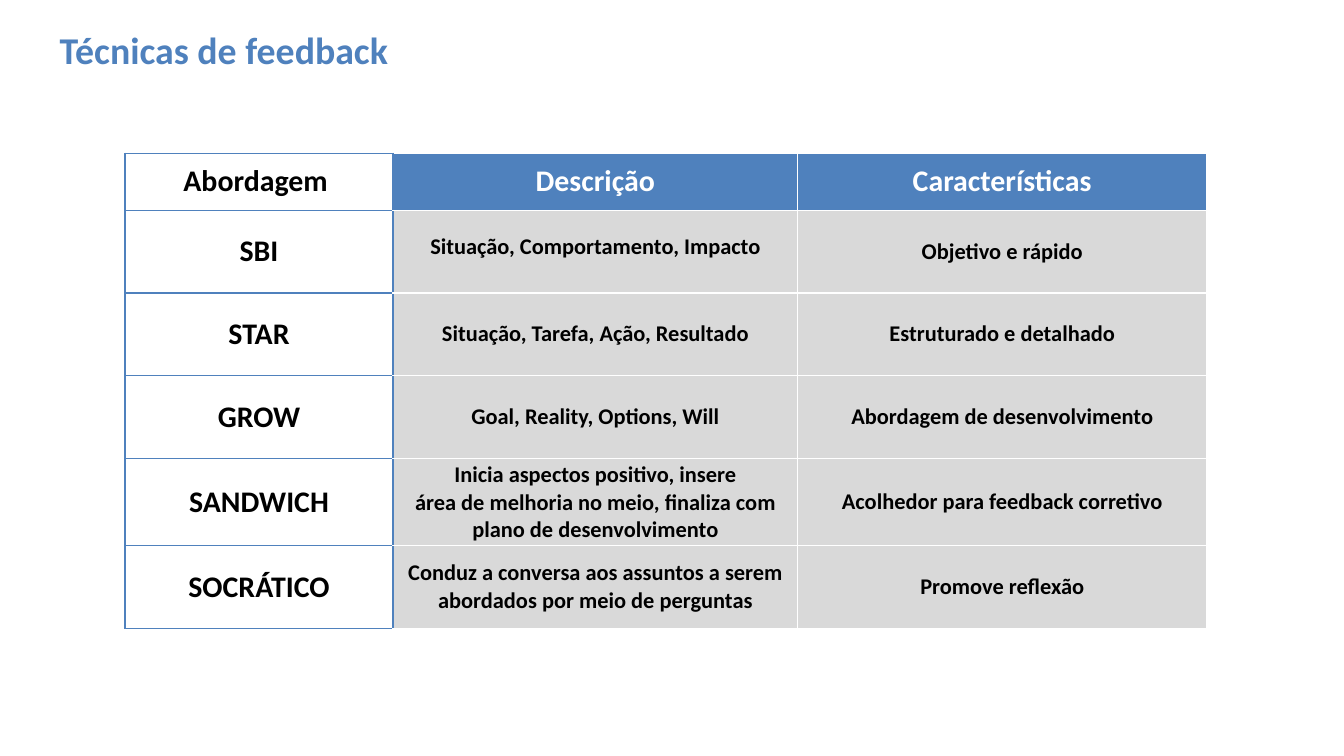
from typing import NamedTuple

from lxml.etree import SubElement
from pptx import Presentation
from pptx.dml.color import RGBColor
from pptx.enum.text import MSO_ANCHOR, PP_ALIGN
from pptx.oxml.ns import qn
from pptx.util import Emu, Pt

PX = 9144  # EMU in one px, 100 px to the inch
FONT = "Calibri"
COLORS = {"blue": "4F81BD", "white": "FFFFFF", "gray": "D9D9D9", "black": "000000"}
BORDER_WIDTH = Pt(1.47)
COLUMN_WIDTHS = [399, 602, 609]
ROW_HEIGHTS = [85, 123, 123, 123, 95, 123]


class Technique(NamedTuple):
    approach: str
    description: str
    traits: str


class CellStyle(NamedTuple):
    fill: str
    color: str
    size: float
    borders: dict[str, str]


HEADER = Technique("Abordagem", "Descrição", "Características")
TECHNIQUES = [
    Technique("SBI", "Situação, Comportamento, Impacto", "Objetivo e rápido"),
    Technique("STAR", "Situação, Tarefa, Ação, Resultado", "Estruturado e detalhado"),
    Technique("GROW", "Goal, Reality, Options, Will", "Abordagem de desenvolvimento"),
    Technique("SANDWICH",
              "Inicia aspectos positivo, insere\n"
              "área de melhoria no meio, finaliza com plano de desenvolvimento",
              "Acolhedor para feedback corretivo"),
    Technique("SOCRÁTICO",
              "Conduz a conversa aos assuntos a serem abordados por meio de perguntas",
              "Promove reflexão"),
]


def px(length: int) -> Emu:
    return Emu(length * PX)


def rgb(name: str) -> RGBColor:
    return RGBColor.from_string(COLORS[name])


def format_text(text_frame, size: float, color: str, alignment: PP_ALIGN) -> None:
    for paragraph in text_frame.paragraphs:
        paragraph.alignment = alignment
        for run in paragraph.runs:
            run.font.name = FONT
            run.font.size = Pt(size)
            run.font.bold = True
            run.font.color.rgb = rgb(color)


def set_borders(cell, borders: dict[str, str]) -> None:
    properties = cell._tc.get_or_add_tcPr()
    for position, side in enumerate("LRTB"):
        line = SubElement(properties, qn(f"a:ln{side}"), w=str(BORDER_WIDTH))
        fill = SubElement(line, qn("a:solidFill"))
        SubElement(fill, qn("a:srgbClr"), val=COLORS[borders[side]])
        properties.insert(position, line)  # borders come before the fill


def cell_style(row: int, column: int) -> CellStyle:
    if column == 0:
        return CellStyle("white", "black", 32, dict.fromkeys("LRTB", "blue"))
    borders = dict.fromkeys("LRTB", "white")
    if column == 1:
        borders["L"] = "blue"
    if row == 0:
        return CellStyle("blue", "white", 32, borders)
    return CellStyle("gray", "black", 24, borders)


def draw_cell(cell, text: str, style: CellStyle) -> None:
    cell.text_frame.text = text
    format_text(cell.text_frame, style.size, style.color, PP_ALIGN.CENTER)
    cell.vertical_anchor = MSO_ANCHOR.MIDDLE
    cell.margin_left = cell.margin_right = px(20)
    cell.margin_top = cell.margin_bottom = px(5)
    cell.fill.solid()
    cell.fill.fore_color.rgb = rgb(style.fill)
    set_borders(cell, style.borders)


def draw_title(slide, text: str) -> None:
    shape = slide.shapes.add_textbox(px(79), px(2), px(1892), px(142))
    text_frame = shape.text_frame
    text_frame.word_wrap = True
    text_frame.vertical_anchor = MSO_ANCHOR.MIDDLE
    text_frame.text = text
    format_text(text_frame, 40.5, "blue", PP_ALIGN.LEFT)


def draw_table(slide, rows: list[Technique]) -> None:
    table = slide.shapes.add_table(
        len(rows), len(COLUMN_WIDTHS), px(186), px(228),
        px(sum(COLUMN_WIDTHS)), px(sum(ROW_HEIGHTS))).table
    table.first_row = table.horz_banding = False
    for column, width in zip(table.columns, COLUMN_WIDTHS):
        column.width = px(width)
    for row, height in zip(table.rows, ROW_HEIGHTS):
        row.height = px(height)
    for row_index, texts in enumerate(rows):
        for column_index, text in enumerate(texts):
            draw_cell(table.cell(row_index, column_index), text,
                      cell_style(row_index, column_index))
    # The first heading sits slightly right of centre
    table.cell(0, 0).margin_left = px(10)
    # The first description has a fixed, tight line height
    table.cell(1, 1).text_frame.paragraphs[0].line_spacing = Pt(19.4)


def main() -> None:
    presentation = Presentation()
    presentation.slide_width = px(2000)
    presentation.slide_height = px(1125)
    slide = presentation.slides.add_slide(presentation.slide_layouts[6])
    draw_title(slide, "Técnicas de feedback")
    draw_table(slide, [HEADER, *TECHNIQUES])
    presentation.save("out.pptx")


if __name__ == "__main__":
    main()
